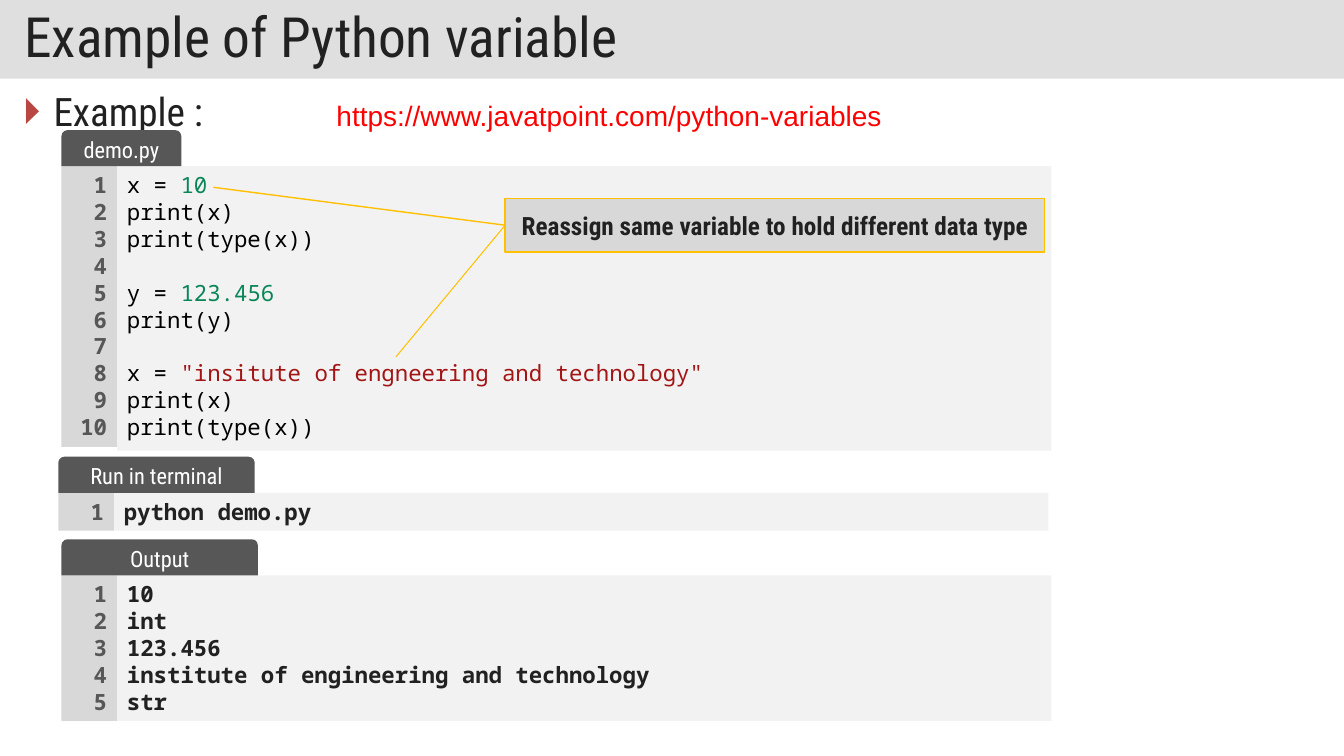
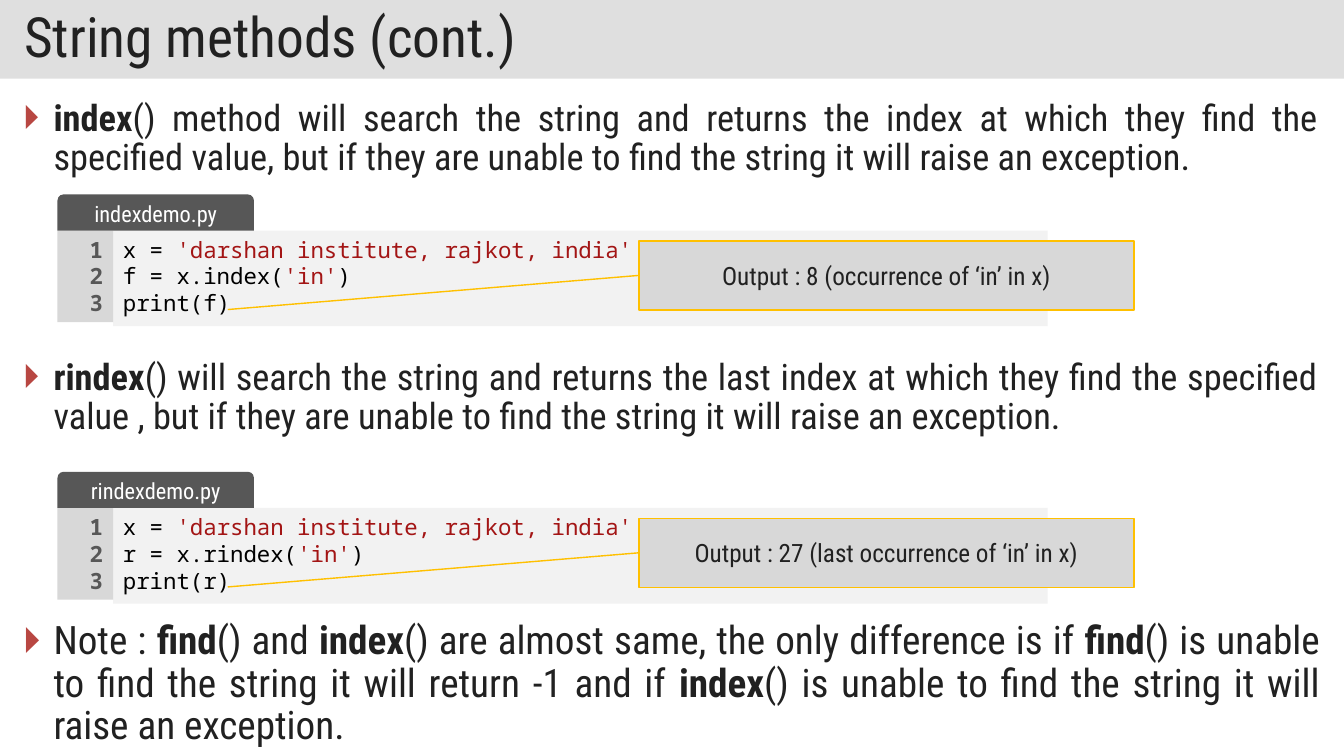
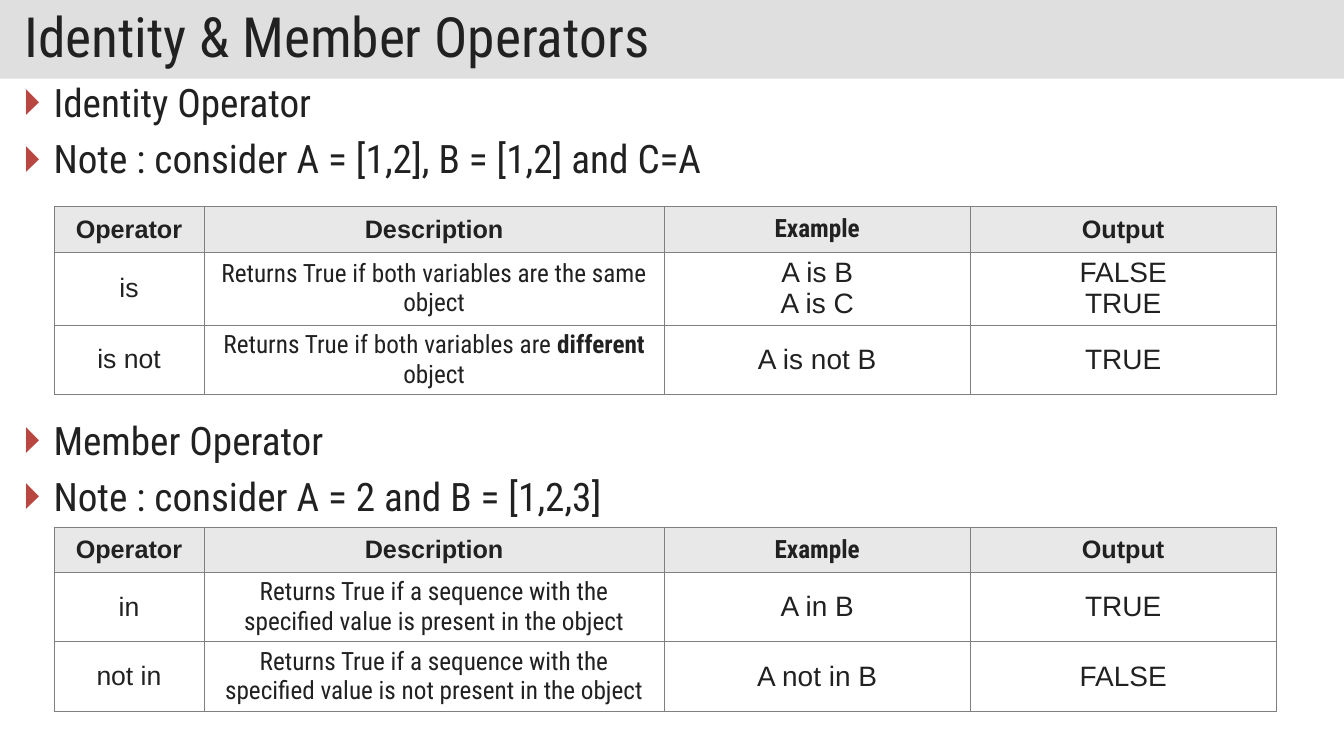
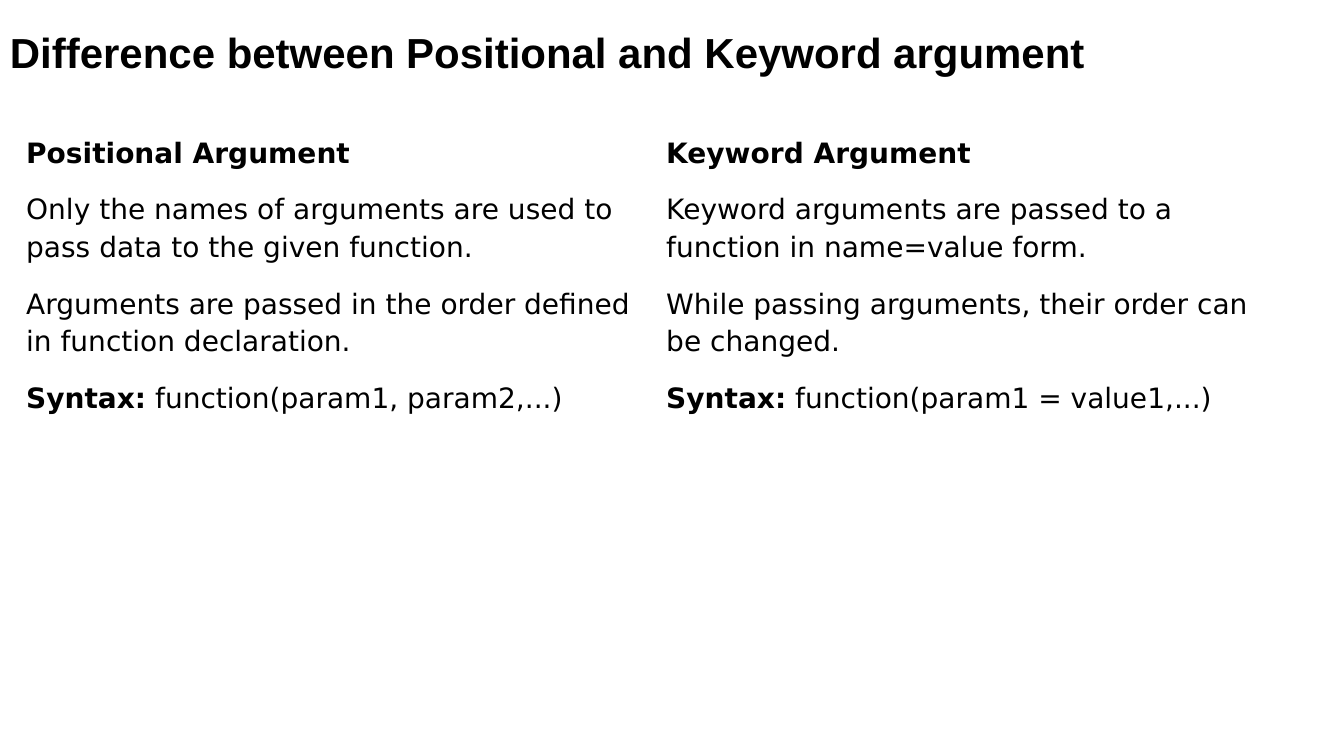
from dataclasses import dataclass, replace

from lxml import etree
from pptx import Presentation
from pptx import util as u
from pptx.dml import color
from pptx.enum import shapes, text
from pptx.oxml import ns

LEFT, CENTER, RIGHT, JUSTIFY = (
    text.PP_ALIGN.LEFT, text.PP_ALIGN.CENTER, text.PP_ALIGN.RIGHT, text.PP_ALIGN.JUSTIFY)
TOP, MIDDLE = text.MSO_ANCHOR.TOP, text.MSO_ANCHOR.MIDDLE


# Theme: colours, type styles and shared measures (cm)
@dataclass(frozen=True)
class Style:
    size: float
    font: str
    colour: str
    bold: bool = False


@dataclass(frozen=True)
class Theme:
    band: str = "C0C0C0"
    bullet: str = "B84742"
    panel: str = "F2F2F2"
    gutter: str = "D8D8D8"
    tab: str = "575757"
    accent: str = "FFC000"
    number: str = "098658"
    string: str = "A31515"
    header: str = "E8E8E8"
    grid: str = "7F7F7F"
    white: str = "FFFFFF"

    title: Style = Style(39.6, "Roboto Condensed", "212121")
    plain_title: Style = Style(30, "Arial", "000000", True)
    body: Style = Style(28, "Roboto Condensed", "212121")
    link: Style = Style(20, "Arial", "FF0000")
    code: Style = Style(16, "Noto Sans Mono", "000000")
    console: Style = Style(16, "Noto Sans Mono", "212121", True)
    line_number: Style = Style(16, "Noto Sans Mono", "575757", True)
    tab_label: Style = Style(16, "Roboto Condensed", "FFFFFF")
    callout: Style = Style(18, "Roboto Condensed", "212121")
    column_head: Style = Style(18, "Arial", "212121", True)
    operator: Style = Style(19, "Arial", "212121")
    example: Style = Style(20, "Arial", "212121")
    comparison: Style = Style(20, "DejaVu Sans", "000000")

    slide_width: float = 33.87
    slide_height: float = 19.05
    insets: tuple = (0.25, 0.13)


THEME = Theme()


@dataclass(frozen=True)
class Run:
    text: str
    colour: str = None
    bold: bool = None


def strong(words):
    return Run(words, bold=True)


def number(words):
    return Run(words, colour=THEME.number)


def string(words):
    return Run(words, colour=THEME.string)


# Text helpers
def rgb(value):
    return color.RGBColor.from_string(value)


def add_bullet(paragraph, indent=0.74):
    properties = paragraph._p.get_or_add_pPr()
    properties.set("marL", str(u.Cm(indent)))
    properties.set("indent", str(-u.Cm(indent)))
    bullet_colour = etree.SubElement(properties, ns.qn("a:buClr"))
    etree.SubElement(bullet_colour, ns.qn("a:srgbClr"), val=THEME.bullet)
    # A text font lets the renderer fall back to one that has the triangle
    etree.SubElement(properties, ns.qn("a:buFont"), typeface=THEME.body.font)
    etree.SubElement(properties, ns.qn("a:buChar"), char="🞂")


def write_paragraph(paragraph, content, style, align=LEFT, spacing=None, bulleted=False):
    """Content is a string or a list of strings and Runs; a leading newline breaks the line."""
    paragraph.alignment = align
    if spacing:
        paragraph.line_spacing = spacing
    if bulleted:
        add_bullet(paragraph)
    font = paragraph.font
    font.size, font.name, font.bold = u.Pt(style.size), style.font, style.bold
    font.color.rgb = rgb(style.colour)
    for part in [content] if isinstance(content, str) else content:
        part = Run(part) if isinstance(part, str) else part
        if part.text.startswith("\n"):
            paragraph.add_line_break()
        run = paragraph.add_run()
        run.text = part.text.lstrip("\n")
        if part.colour:
            run.font.color.rgb = rgb(part.colour)
        if part.bold is not None:
            run.font.bold = part.bold


def write_frame(frame, paragraphs, style, anchor=TOP, insets=THEME.insets, gap=0, **options):
    frame.word_wrap = True
    frame.auto_size = text.MSO_AUTO_SIZE.NONE
    frame.vertical_anchor = anchor
    frame.margin_left = frame.margin_right = u.Cm(insets[0])
    frame.margin_top = frame.margin_bottom = u.Cm(insets[1])
    for index, content in enumerate(paragraphs):
        paragraph = frame.add_paragraph() if index else frame.paragraphs[0]
        if index and gap:
            paragraph.space_before = u.Pt(gap)
        write_paragraph(paragraph, content, style, **options)


# Slide elements
def add_slide(presentation, heading, banded=True):
    slide = presentation.slides.add_slide(presentation.slide_layouts[5])
    title = slide.shapes.title
    title.left = title.top = u.Cm(0)
    title.width = u.Cm(THEME.slide_width)
    if banded:
        title.height = u.Cm(1.98)
        title.fill.solid()
        title.fill.fore_color.rgb = rgb(THEME.band)
        fill_colour = title._element.spPr.find(".//" + ns.qn("a:srgbClr"))
        etree.SubElement(fill_colour, ns.qn("a:alpha"), val="50000")
        write_frame(title.text_frame, [heading], THEME.title, MIDDLE, (0.61, 0.3), spacing=0.9)
    else:
        title.height = u.Cm(1.8)
        write_frame(title.text_frame, [heading], THEME.plain_title, TOP, (0.25, 0.25),
                    spacing=1.32)
    return slide


def add_text(slide, left, top, width, height, paragraphs, style, **options):
    box = slide.shapes.add_textbox(u.Cm(left), u.Cm(top), u.Cm(width), u.Cm(height))
    write_frame(box.text_frame, paragraphs, style, **options)


def add_bullets(slide, top, height, paragraphs, size=THEME.body.size):
    add_text(slide, 0.36, top, 33.15, height, paragraphs, replace(THEME.body, size=size),
             gap=10, align=JUSTIFY, spacing=0.9, bulleted=True)


def add_box(slide, left, top, width, height, fill, paragraphs, style, line=None,
            kind=shapes.MSO_SHAPE.RECTANGLE, **options):
    shape = slide.shapes.add_shape(kind, u.Cm(left), u.Cm(top), u.Cm(width), u.Cm(height))
    shape.shadow.inherit = False
    shape.fill.solid()
    shape.fill.fore_color.rgb = rgb(fill)
    if line:
        shape.line.color.rgb = rgb(line)
        shape.line.width = u.Pt(1)
    else:
        shape.line.fill.background()
    write_frame(shape.text_frame, paragraphs, style, **options)
    return shape


def add_code_panel(slide, left, top, label, lines, line_count, style=THEME.code,
                   tab_width=4.95, overhang=0.0):
    """A tab, a gutter of line numbers and a code area, sized by the line count."""
    tab_height, gutter_width = 0.91, 1.4
    height = 0.27 + 0.68 * line_count
    body_top = top + tab_height
    add_box(slide, left + gutter_width, body_top, 23.55, height + overhang, THEME.panel,
            lines, style)
    numbers = [str(index + 1) for index in range(line_count)]
    add_box(slide, left, body_top, gutter_width, height, THEME.gutter, numbers,
            THEME.line_number, align=RIGHT)
    add_box(slide, left, top, tab_width, tab_height, THEME.tab, [label], THEME.tab_label,
            kind=shapes.MSO_SHAPE.ROUND_2_SAME_RECTANGLE, anchor=MIDDLE, insets=(0.25, 0),
            align=CENTER)


def add_callout(slide, left, top, width, height, label, targets, bold=False):
    """A framed note with a line from its left side to each (x, y, line width) target."""
    note = add_box(slide, left, top, width, height, THEME.gutter, [label],
                   replace(THEME.callout, bold=bold), line=THEME.accent, anchor=MIDDLE,
                   align=CENTER)
    for x, y, line_width in targets:
        connector = slide.shapes.add_connector(
            shapes.MSO_CONNECTOR.STRAIGHT, u.Cm(left), u.Cm(top + height / 2),
            u.Cm(x), u.Cm(y))
        connector.begin_connect(note, 1)
        connector.line.color.rgb = rgb(THEME.accent)
        connector.line.width = u.Pt(line_width)
        etree.SubElement(connector._element.spPr, ns.qn("a:effectLst"))


def add_borders(cell):
    properties = cell._tc.get_or_add_tcPr()
    for index, side in enumerate(("lnL", "lnR", "lnT", "lnB")):
        border = etree.Element(ns.qn("a:" + side), w=str(u.Pt(0.75)))
        fill = etree.SubElement(border, ns.qn("a:solidFill"))
        etree.SubElement(fill, ns.qn("a:srgbClr"), val=THEME.grid)
        properties.insert(index, border)


def add_table(slide, left, top, widths, heights):
    frame = slide.shapes.add_table(len(heights), len(widths), u.Cm(left), u.Cm(top),
                                   u.Cm(sum(widths)), u.Cm(sum(heights)))
    table = frame.table
    table.first_row = table.horz_banding = False
    for column, width in zip(table.columns, widths):
        column.width = u.Cm(width)
    for row, height in zip(table.rows, heights):
        row.height = u.Cm(height)
    return table


def fill_cell(cell, fill, paragraphs, style, anchor, insets, **options):
    cell.fill.solid()
    cell.fill.fore_color.rgb = rgb(fill)
    cell.vertical_anchor = anchor
    cell.margin_left = cell.margin_right = u.Cm(insets[0])
    cell.margin_top = cell.margin_bottom = u.Cm(insets[1])
    for index, content in enumerate(paragraphs):
        paragraph = cell.text_frame.add_paragraph() if index else cell.text_frame.paragraphs[0]
        write_paragraph(paragraph, content, style, **options)


def add_operator_table(slide, top, heights, rows):
    table = add_table(slide, 1.36, top, (3.78, 11.6, 7.71, 7.71), heights)
    head = THEME.column_head
    head_styles = (head, head, replace(head, font=THEME.body.font), head)
    body_styles = (THEME.operator, THEME.callout, THEME.example, THEME.example)
    header = [["Operator"], ["Description"], ["Example"], ["Output"]]
    for row_index, row in enumerate([header] + rows):
        styles, fill = (body_styles, THEME.white) if row_index else (head_styles, THEME.header)
        for column_index, (paragraphs, style) in enumerate(zip(row, styles)):
            cell = table.cell(row_index, column_index)
            fill_cell(cell, fill, paragraphs, style, MIDDLE, THEME.insets, align=CENTER)
            add_borders(cell)


# Slides
def build_variable_slide(presentation):
    slide = add_slide(presentation, "Example of Python variable")
    add_bullets(slide, 2.21, 1.3, ["Example :"])
    code = [
        ["x = ", number("10")],
        "print(x)",
        "print(type(x))",
        ["\ny = ", number("123.456")],
        "print(y)",
        ["\nx = ", string('"insitute of engneering and technology"')],
        "print(x)",
        "print(type(x))",
    ]
    add_code_panel(slide, 1.55, 3.28, "demo.py", code, 10, tab_width=3.02, overhang=0.1)
    add_code_panel(slide, 1.47, 11.51, "Run in terminal", ["python demo.py"], 1, THEME.console)
    output = ["10", "int", "123.456", "institute of engineering and technology", "str"]
    add_code_panel(slide, 1.55, 13.59, "Output", output, len(output), THEME.console)
    add_callout(slide, 12.73, 5, 13.59, 1.35,
                "Reassign same variable to hold different data type",
                [(5.38, 4.72, 1), (9.98, 8.99, 0.75)], bold=True)
    add_text(slide, 8.23, 2.24, 24.28, 1.37, ["https://www.javatpoint.com/python-variables"],
             THEME.link, insets=(0.25, 0.25))


def build_string_slide(presentation):
    slide = add_slide(presentation, "String methods (cont.)")
    add_bullets(slide, 2.39, 2.4, [[
        strong("index"),
        "() method will search the string and returns the index at which they find the "
        "specified value, but if they are unable to find the string it will raise an exception.",
    ]], size=26)
    add_bullets(slide, 8.92, 2.4, [[
        strong("rindex"),
        "() will search the string and returns the last index at which they find the specified "
        "value , but if they are unable to find the string it will raise an exception.",
    ]], size=26)
    add_bullets(slide, 15.52, 3.4, [[
        "Note : ", strong("find"), "() and ", strong("index"),
        "() are almost same, the only difference is if ", strong("find"),
        "() is unable to find the string it will return -1 and if ", strong("index"),
        "() is unable to find the string it will raise an exception.",
    ]])
    examples = [
        ("f", "index", "Output : 8 (occurrence of ‘in’ in x)"),
        ("r", "rindex", "Output : 27 (last occurrence of ‘in’ in x)"),
    ]
    for index, (variable, method, result) in enumerate(examples):
        top = 4.9 + 6.99 * index
        code = [
            ["x = ", string("'darshan institute, rajkot, india'")],
            [f"{variable} = x.{method}(", string("'in'"), ")"],
            f"print({variable})",
        ]
        add_code_panel(slide, 1.45, top, f"{method}demo.py", code, len(code), overhang=0.1)
        add_callout(slide, 16.1, top + 1.17, 12.48, 1.74, result, [(5.74, top + 2.9, 1)])


def build_operator_slide(presentation):
    slide = add_slide(presentation, "Identity & Member Operators")
    add_bullets(slide, 1.98, 2.8, [
        "Identity Operator", "Note : consider A = [1,2], B = [1,2] and C=A"])
    add_bullets(slide, 10.49, 2.8, [
        "Member Operator", "Note : consider A = 2 and B = [1,2,3]"])
    add_operator_table(slide, 5.21, (1.14, 1.84, 1.74), [
        [["is"], ["Returns True if both variables are the same object"],
         ["A is B", "A is C"], ["FALSE", "TRUE"]],
        [["is not"],
         [["Returns True if both variables are ", strong("different"), " object"]],
         ["A is not B"], ["TRUE"]],
    ])
    add_operator_table(slide, 13.28, (1.14, 1.74, 1.74), [
        [["in"],
         ["Returns True if a sequence with the specified value is present in the object"],
         ["A in B"], ["TRUE"]],
        [["not in"],
         ["Returns True if a sequence with the specified value is not present in the object"],
         ["A not in B"], ["FALSE"]],
    ])


def build_argument_slide(presentation):
    slide = add_slide(presentation, "Difference between Positional and Keyword argument",
                      banded=False)
    rows = [
        ([strong("Positional Argument")], [strong("Keyword Argument")]),
        ("Only the names of arguments are used to pass data to the given function.",
         "Keyword arguments are passed to a function in name=value form."),
        ("Arguments are passed in the order defined in function declaration.",
         "While passing arguments, their order can be changed."),
        ([strong("Syntax:"), " function(param1, param2,...)"],
         [strong("Syntax:"), " function(param1 = value1,...)"]),
    ]
    table = add_table(slide, 0.46, 3.15, (16.13, 16.13), (1.41, 2.38, 2.38, 1.41))
    for row_index, row in enumerate(rows):
        for column_index, content in enumerate(row):
            fill_cell(table.cell(row_index, column_index), THEME.white, [content],
                      THEME.comparison, TOP, (0.2, 0.2), spacing=1.15)


def main():
    presentation = Presentation()
    presentation.slide_width = u.Cm(THEME.slide_width)
    presentation.slide_height = u.Cm(THEME.slide_height)
    build_variable_slide(presentation)
    build_string_slide(presentation)
    build_operator_slide(presentation)
    build_argument_slide(presentation)
    presentation.save("out.pptx")


if __name__ == "__main__":
    main()
